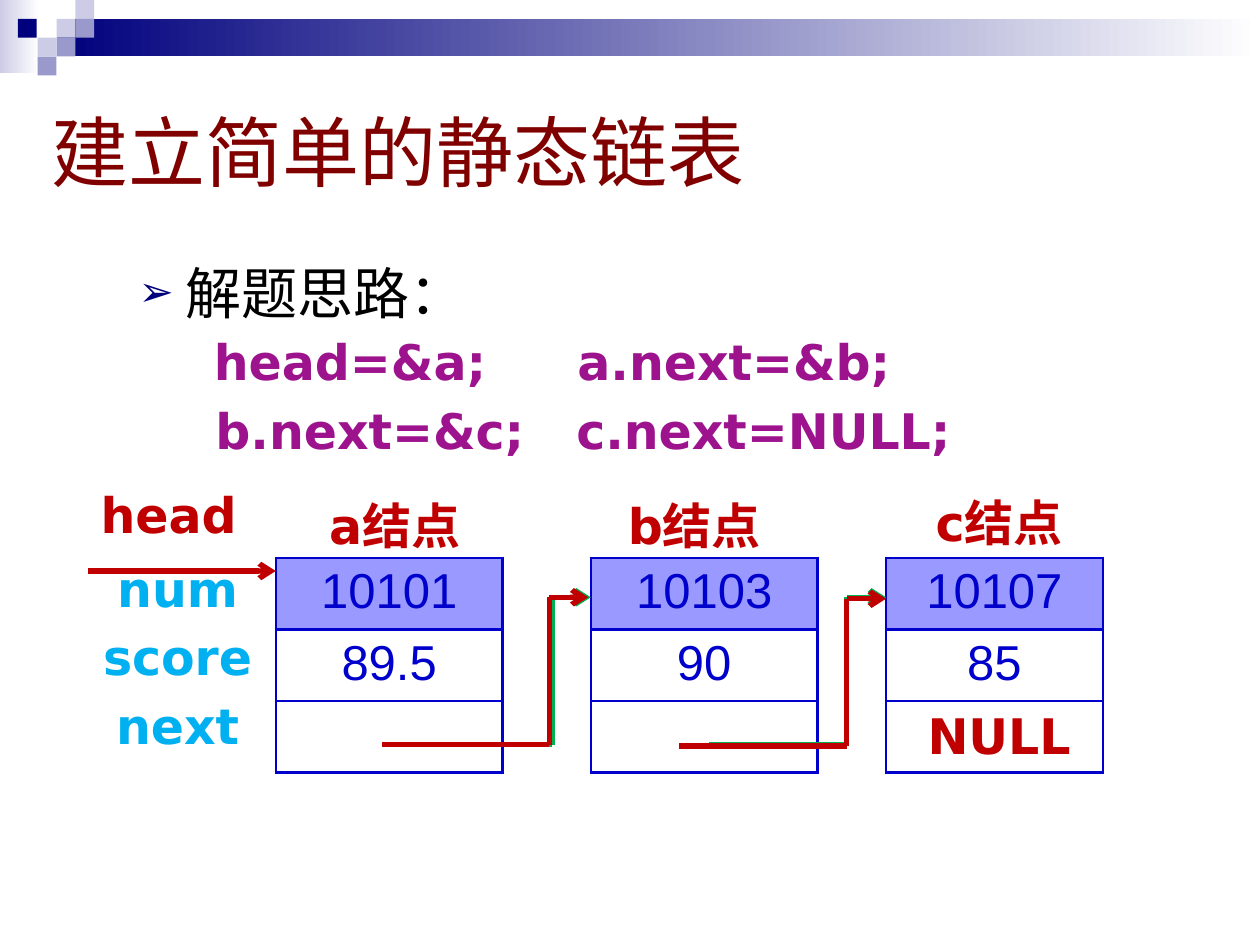
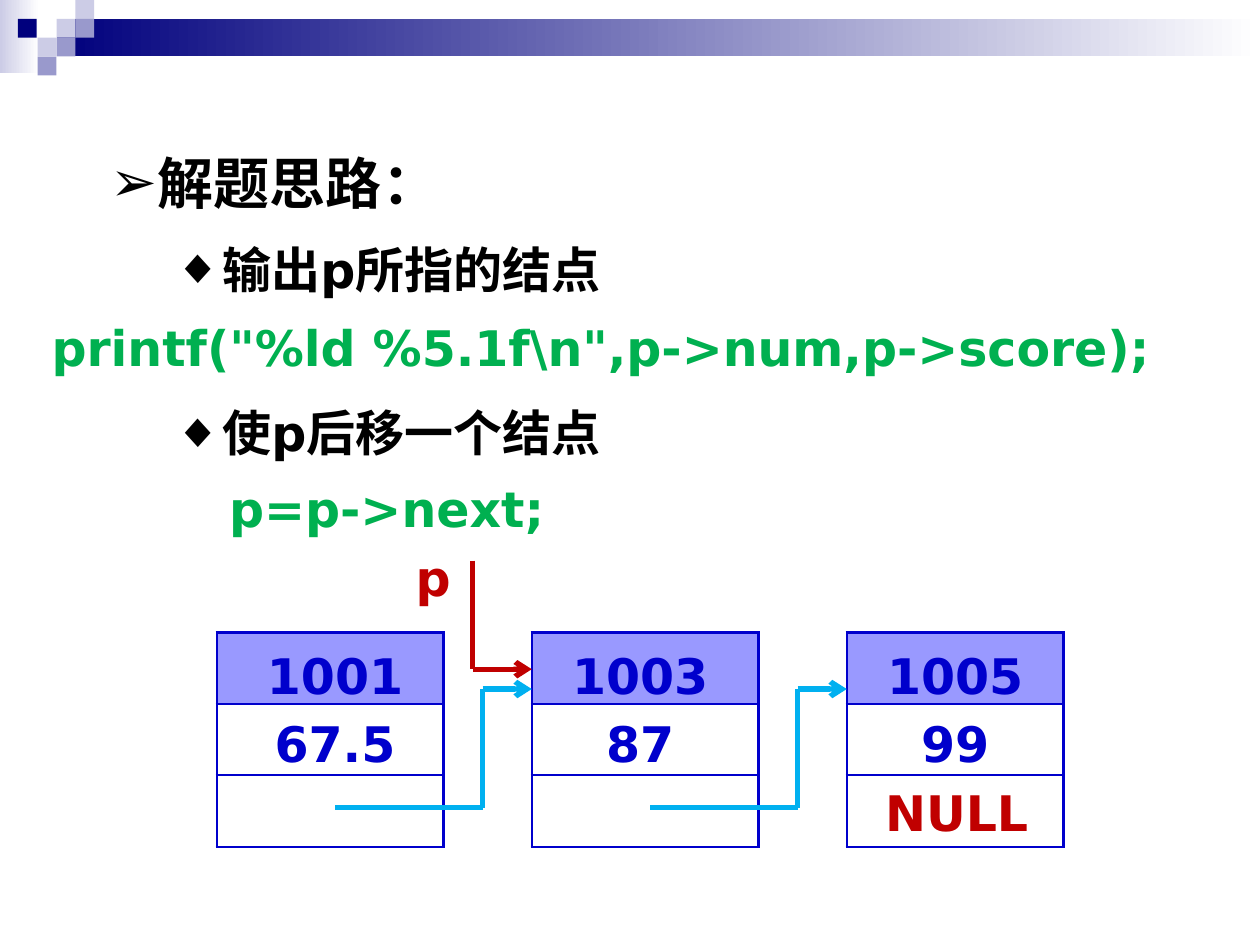
from lxml import etree
from pptx import Presentation
from pptx.dml.color import RGBColor
from pptx.enum.shapes import MSO_CONNECTOR, MSO_SHAPE
from pptx.enum.text import MSO_ANCHOR, MSO_AUTO_SIZE, PP_ALIGN
from pptx.oxml.ns import qn
from pptx.util import Cm, Pt

RECTANGLE = MSO_SHAPE.RECTANGLE
STRAIGHT = MSO_CONNECTOR.STRAIGHT
LEFT, CENTER = PP_ALIGN.LEFT, PP_ALIGN.CENTER
MIDDLE, TOP = MSO_ANCHOR.MIDDLE, MSO_ANCHOR.TOP
FIT_SHAPE, NO_FIT = MSO_AUTO_SIZE.SHAPE_TO_FIT_TEXT, MSO_AUTO_SIZE.NONE

WHITE = RGBColor(0xFF, 0xFF, 0xFF)
BLACK = RGBColor(0, 0, 0)
NAVY = RGBColor(0, 0, 0x7D)
LAVENDER = RGBColor(0xCC, 0xCC, 0xE6)
PERIWINKLE = RGBColor(0x99, 0x99, 0xCC)
MAROON = RGBColor(0x80, 0, 0)
RED = RGBColor(0xC0, 0, 0)
PURPLE = RGBColor(0x9D, 0x13, 0x8D)
GREEN = RGBColor(0, 0xB0, 0x50)
SKY = RGBColor(0, 0xB0, 0xF0)
NODE_BLUE = RGBColor(0, 0, 0xCC)
NODE_HEADER = RGBColor(0x99, 0x99, 0xFF)

PLAIN_FONT, BOLD_FONT = "Arial", "DejaVu Sans"
ROW_HEIGHT = 1.44
LABEL_HEIGHT = 1.45
NODE_WIDTH, LAST_NODE_WIDTH = 4.57, 4.37


def write(paragraph, text, size=28, color=RED, bold=True, align=LEFT,
          line_spacing=None, space_before=0):
    paragraph.alignment = align
    paragraph.space_before = Pt(space_before)
    if line_spacing:
        paragraph.line_spacing = line_spacing
    run = paragraph.add_run()
    run.text = text
    run.font.size = Pt(size)
    run.font.bold = bold
    run.font.name = BOLD_FONT if bold else PLAIN_FONT
    run.font.color.rgb = color


def add_child(parent, tag, **attributes):
    return etree.SubElement(parent, qn(tag), attributes)


class Deck:
    def __init__(self):
        self.presentation = Presentation()
        self.presentation.slide_width = Cm(25.4)
        self.presentation.slide_height = Cm(19.05)
        self.slide = None

    def new_slide(self):
        layout = self.presentation.slide_layouts[1]
        self.slide = self.presentation.slides.add_slide(layout)

    def rectangle(self, left, top, width, height, color, fade=False):
        shape = self.slide.shapes.add_shape(
            RECTANGLE, Cm(left), Cm(top), Cm(width), Cm(height))
        shape.shadow.inherit = False
        shape.line.fill.background()
        if fade:
            shape.fill.gradient()
            shape.fill.gradient_angle = 0
            for stop, stop_color in zip(shape.fill.gradient_stops, (color, WHITE)):
                stop.color.rgb = stop_color
        else:
            shape.fill.solid()
            shape.fill.fore_color.rgb = color
        return shape

    def master_band(self):
        unit = 0.38
        shapes = [self.rectangle(0, 0, 0.79, 1.47, LAVENDER, fade=True),
                  self.rectangle(1.14, unit, 24.26, 0.76, NAVY, fade=True)]
        squares = [(3, 1, LAVENDER), (4, 0, LAVENDER), (4, 1, PERIWINKLE),
                   (2, 2, LAVENDER), (0.95, 1, NAVY), (3, 2, PERIWINKLE),
                   (2, 3, PERIWINKLE)]
        for column, row, color in squares:
            shapes.append(self.rectangle(column * unit, row * unit, unit, unit, color))
        tree = self.presentation.slide_master.shapes.element
        for index, shape in enumerate(shapes, start=2):
            tree.insert(index, shape.element)

    def place(self, shape, left, top, width, height, anchor):
        shape.left, shape.top = Cm(left), Cm(top)
        shape.width, shape.height = Cm(width), Cm(height)
        frame = shape.text_frame
        frame.word_wrap = True
        frame.auto_size = NO_FIT
        frame.vertical_anchor = anchor
        return frame

    def title(self, text):
        frame = self.place(self.slide.shapes.title, 0.79, 1.98, 23.22, 2.13, MIDDLE)
        write(frame.paragraphs[0], text, size=44, color=MAROON, bold=False)

    def remove_title(self):
        title = self.slide.shapes.title.element
        title.getparent().remove(title)

    def body(self, left, top, width, height):
        return self.place(self.slide.placeholders[1], left, top, width, height, TOP)

    def bullet(self, paragraph, text, symbol, margin, hanging, level=0,
               bullet_color=BLACK, bullet_size=100, **text_format):
        paragraph.level = level
        write(paragraph, text, color=BLACK, **text_format)
        properties = paragraph._p.get_or_add_pPr()
        properties.set("marL", str(Cm(margin)))
        properties.set("indent", str(-Cm(hanging)))
        color = add_child(properties, "a:buClr")
        add_child(color, "a:srgbClr", val=str(bullet_color))
        add_child(properties, "a:buSzPct", val=str(bullet_size * 1000))
        add_child(properties, "a:buChar", char=symbol)

    def label(self, left, top, width, *lines, height=LABEL_HEIGHT, **text_format):
        box = self.slide.shapes.add_textbox(Cm(left), Cm(top), Cm(width), Cm(height))
        frame = box.text_frame
        frame.word_wrap = True
        frame.auto_size = FIT_SHAPE
        for index, line in enumerate(lines):
            paragraph = frame.add_paragraph() if index else frame.paragraphs[0]
            write(paragraph, line, **text_format)

    def node(self, left, top, width, values=()):
        frame = self.slide.shapes.add_table(
            3, 1, Cm(left), Cm(top), Cm(width), Cm(3 * ROW_HEIGHT))
        table = frame.table
        table.first_row = table.horz_banding = False
        table.columns[0].width = Cm(width)
        for index, row in enumerate(table.rows):
            row.height = Cm(ROW_HEIGHT)
            cell = row.cells[0]
            cell.fill.solid()
            cell.fill.fore_color.rgb = WHITE if index else NODE_HEADER
            self.cell_borders(cell)
            if index < len(values):
                write(cell.text_frame.paragraphs[0], values[index],
                      color=NODE_BLUE, bold=False, align=CENTER)

    def cell_borders(self, cell):
        properties = cell._tc.get_or_add_tcPr()
        for index, side in enumerate("LRTB"):
            border = etree.Element(qn(f"a:ln{side}"), w=str(Pt(1.47)))
            fill = add_child(border, "a:solidFill")
            add_child(fill, "a:srgbClr", val=str(NODE_BLUE))
            properties.insert(index, border)

    def arrow(self, color, *points):
        for start, end in zip(points, points[1:]):
            connector = self.slide.shapes.add_connector(
                STRAIGHT, *(Cm(value) for value in start + end))
            connector.line.color.rgb = color
            connector.line.width = Pt(3)
            add_child(connector.element.spPr, "a:effectLst")
        add_child(connector.line._get_or_add_ln(), "a:tailEnd", type="arrow")

    def link(self, color, start, corner, end, bottom, top):
        self.arrow(color, (start, bottom), (corner, bottom), (corner, top), (end, top))


def build_list_slide(deck):
    deck.title("建立简单的静态链表")
    body = deck.body(2.54, 5.08, 20.62, 2.69)
    deck.bullet(body.paragraphs[0], "解题思路：", "➢", 0.95, 0.95, size=32, bold=False,
                space_before=8, bullet_color=NAVY, bullet_size=75)

    deck.node(5.56, 11.25, NODE_WIDTH, ("10101", "89.5"))
    deck.node(11.91, 11.25, NODE_WIDTH, ("10103", "90"))
    deck.node(17.86, 11.25, LAST_NODE_WIDTH, ("10107", "85"))
    deck.label(5.77, 9.86, 4.37, "a结点", align=CENTER)
    deck.label(11.91, 9.86, 4.17, "b结点", align=CENTER)
    deck.label(18.26, 9.8, 3.76, "c结点", align=CENTER)

    for index, field in enumerate(("num", "score", "next")):
        deck.label(1.6, 11.13 + index * 1.38, 3.96, field, color=SKY, align=CENTER)
    deck.label(1.78, 9.65, 3.38, "head")
    deck.arrow(RED, (1.78, 11.51), (5.56, 11.51))

    deck.link(GREEN, 7.75, 11.13, 11.91, 15.01, 12.04)
    deck.link(GREEN, 14.3, 17.07, 17.86, 15.01, 12.04)
    deck.link(RED, 7.7, 11.07, 11.86, 15.01, 12.04)
    deck.link(RED, 13.69, 17.07, 17.86, 15.04, 12.07)

    statements = [(3.18, 6.55, 7.75, "head=&a;"), (10.92, 6.55, 7.75, "a.next=&b;"),
                  (3.58, 7.95, 7.75, "b.next=&c;"), (10.92, 7.95, 8.94, "c.next=NULL;")]
    for left, top, width, code in statements:
        deck.label(left, top, width, code, color=PURPLE, align=CENTER)
    deck.label(18.26, 14.1, 3.76, "NULL", align=CENTER)


def build_output_slide(deck):
    deck.remove_title()
    body = deck.body(1.98, 2.59, 22.02, 7.34)
    deck.bullet(body.paragraphs[0], "解题思路：", "➢", 0.95, 0.95, size=32,
                line_spacing=1.2, space_before=8)
    for step, gap in (("输出p所指的结点", 7), ("使p后移一个结点", 53)):
        deck.bullet(body.add_paragraph(), step, "◆", 2.06, 0.79, level=1,
                    line_spacing=1.2, space_before=gap)

    node_left, node_pitch = 4.37, 6.35
    nodes = [("1001", "67.5", 0.2, NODE_WIDTH), ("1003", "87", 0, NODE_WIDTH),
             ("1005", "99", 0, LAST_NODE_WIDTH)]
    for index, (number, score, shift, width) in enumerate(nodes):
        left = node_left + index * node_pitch
        deck.node(left, 12.75, width)
        deck.label(left + shift, 12.7, 4.37, number, score, height=3.02,
                   color=NODE_BLUE, align=CENTER, line_spacing=Pt(39))
    for index in range(2):
        offset = index * node_pitch
        deck.link(SKY, 6.76 + offset, 9.73 + offset, 10.72 + offset, 16.28, 13.89)

    deck.label(17.2, 15.65, 4.17, "NULL", align=CENTER)
    deck.label(4.37, 9.53, 10.31, "p=p->next;", color=GREEN)
    deck.label(0.79, 6.27, 24, 'printf("%ld %5.1f\\n",p->num,p->score);', color=GREEN)
    deck.label(8.13, 10.92, 1.57, "p")
    deck.arrow(RED, (9.53, 11.3), (9.53, 13.49), (10.72, 13.49))


def main():
    deck = Deck()
    deck.new_slide()
    deck.master_band()
    build_list_slide(deck)
    deck.new_slide()
    build_output_slide(deck)
    deck.presentation.save("out.pptx")


if __name__ == "__main__":
    main()
